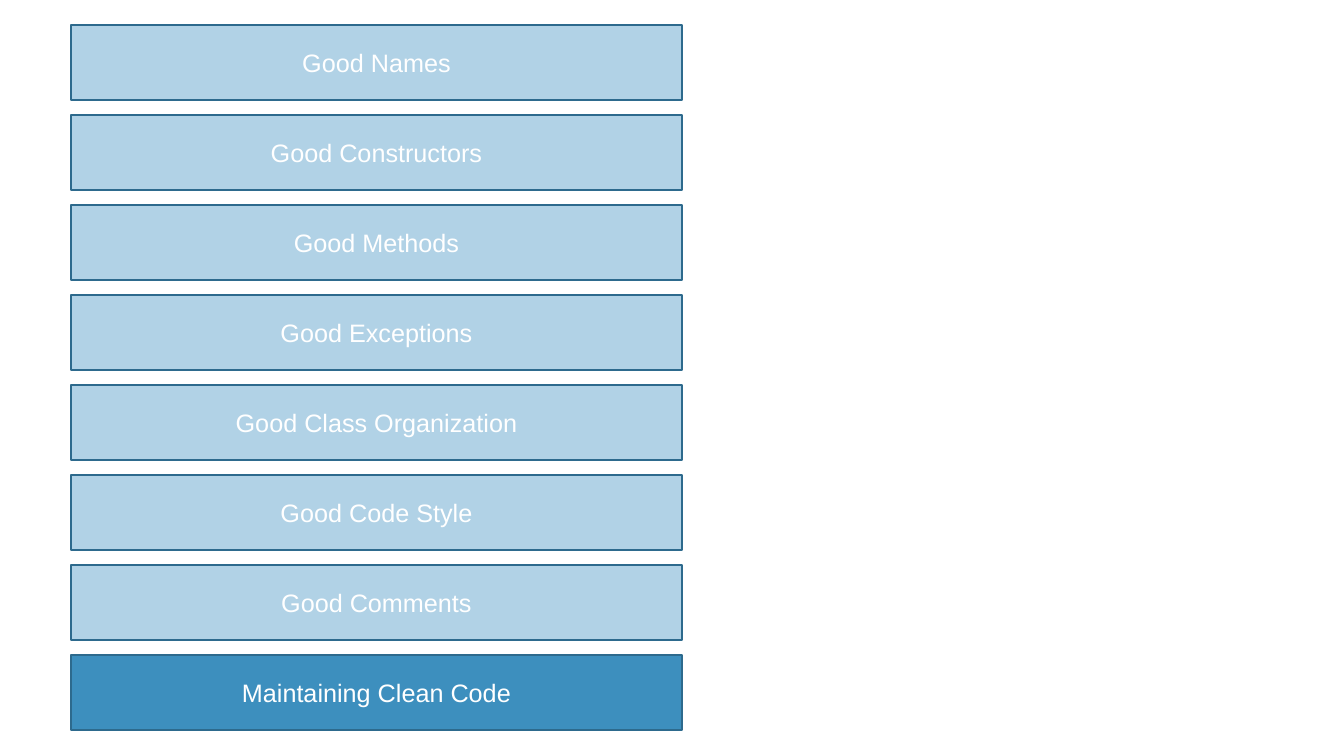
from pptx import Presentation
from pptx.dml.color import RGBColor
from pptx.enum.shapes import MSO_SHAPE
from pptx.enum.text import MSO_ANCHOR, PP_ALIGN
from pptx.util import Emu, Pt

EMU_PER_PX = 914400 / 100.8
COLORS = {"past": "B1D2E6", "current": "3D8FBE", "border": "2D6A8D", "text": "FFFFFF"}
TOPIC_FONT = {"name": "Arial", "size": Pt(18)}
TOPICS = [
    "Good Names",
    "Good Constructors",
    "Good Methods",
    "Good Exceptions",
    "Good Class Organization",
    "Good Code Style",
    "Good Comments",
    "Maintaining Clean Code",
]
CURRENT_TOPIC = "Maintaining Clean Code"
LEFT, TOP, WIDTH, HEIGHT, PITCH = 71, 25, 611, 75, 90


def px(length):
    return Emu(round(length * EMU_PER_PX))


def color(role):
    return RGBColor.from_string(COLORS[role])


class AgendaSlide:
    """Draws agenda elements on one slide in a shared style."""

    def __init__(self, slide, font_format):
        self.slide = slide
        self.font_format = font_format

    def topic_bar(self, topic, left, top, width, height, fill):
        bar = self.slide.shapes.add_shape(
            MSO_SHAPE.RECTANGLE, px(left), px(top), px(width), px(height)
        )
        bar.shadow.inherit = False
        bar.fill.solid()
        bar.fill.fore_color.rgb = color(fill)
        bar.line.color.rgb = color("border")
        bar.line.width = Pt(1)
        bar.text_frame.vertical_anchor = MSO_ANCHOR.MIDDLE
        label = bar.text_frame.paragraphs[0]
        label.alignment = PP_ALIGN.CENTER
        run = label.add_run()
        run.text = topic
        for attribute, value in self.font_format.items():
            setattr(run.font, attribute, value)
        run.font.color.rgb = color("text")


def main():
    deck = Presentation()
    deck.slide_width, deck.slide_height = px(1344), px(756)
    agenda = AgendaSlide(deck.slides.add_slide(deck.slide_layouts[6]), TOPIC_FONT)
    for row, topic in enumerate(TOPICS):
        fill = "current" if topic == CURRENT_TOPIC else "past"
        agenda.topic_bar(topic, LEFT, TOP + row * PITCH, WIDTH, HEIGHT, fill)
    deck.save("out.pptx")


if __name__ == "__main__":
    main()
